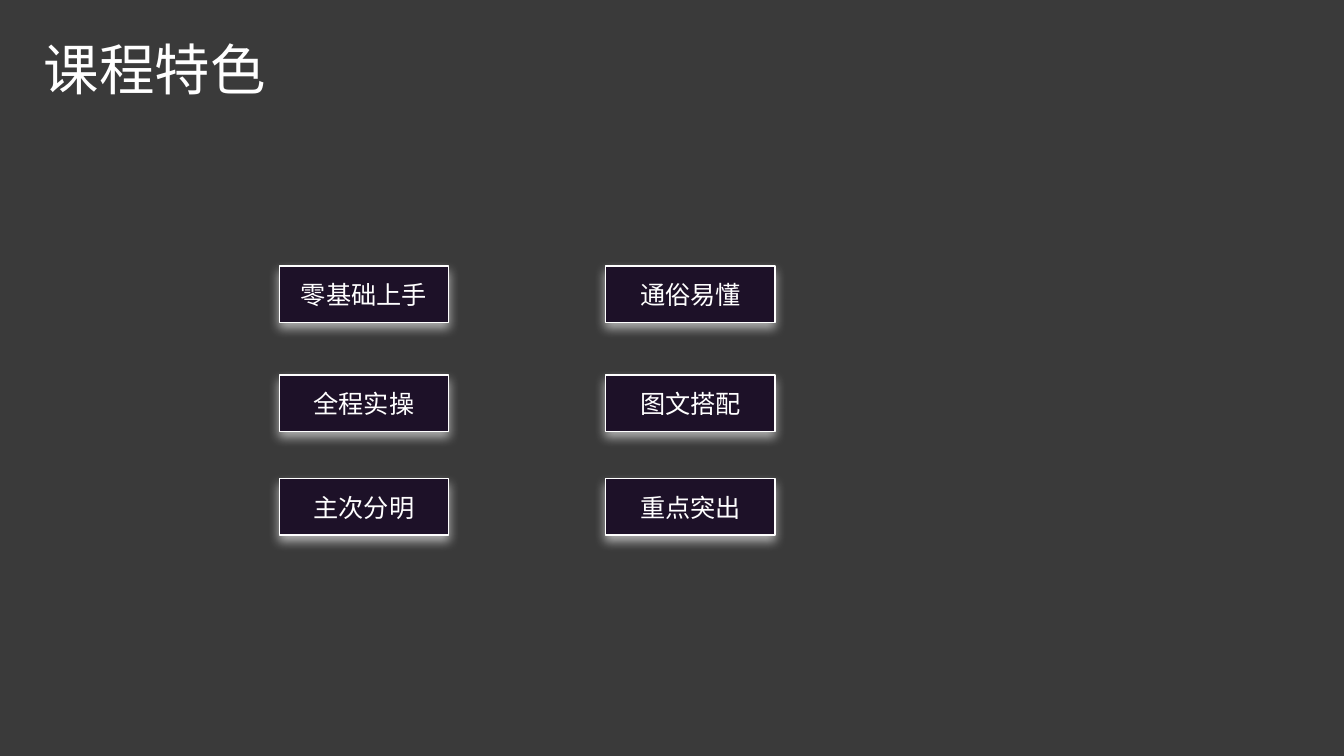
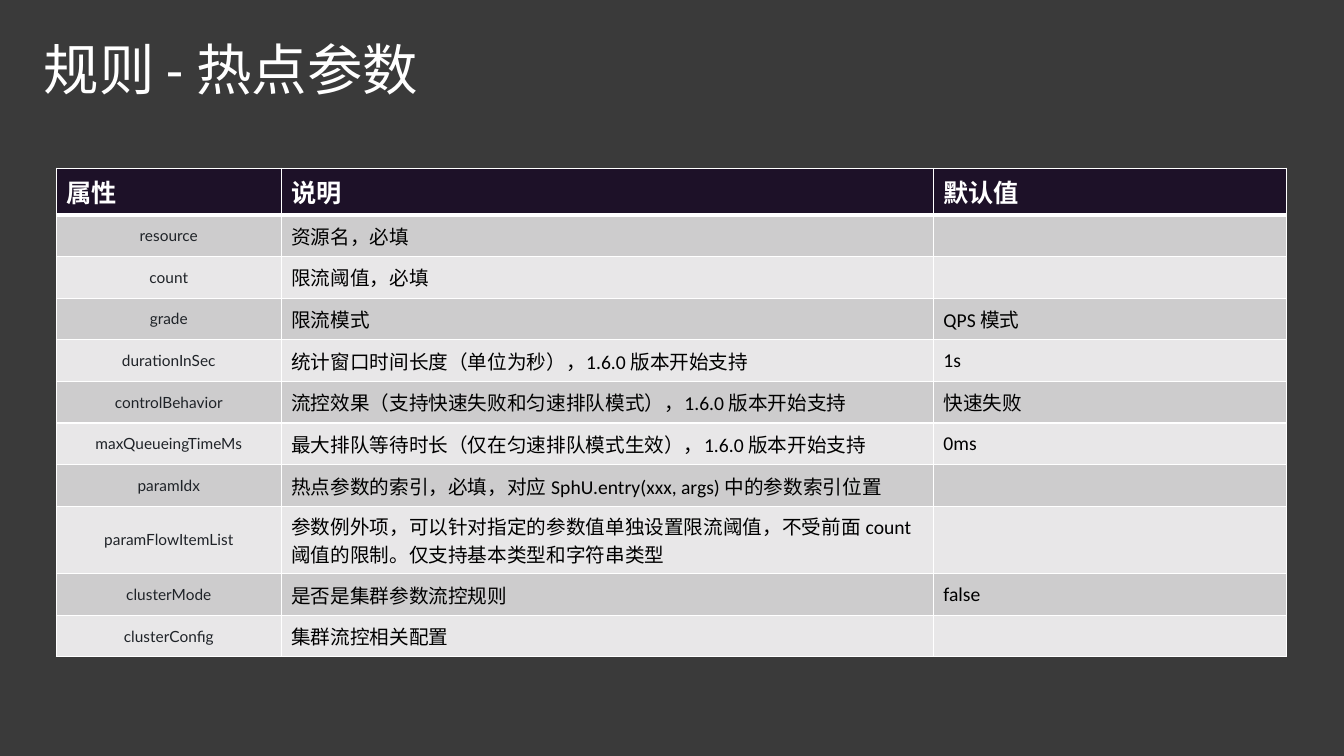
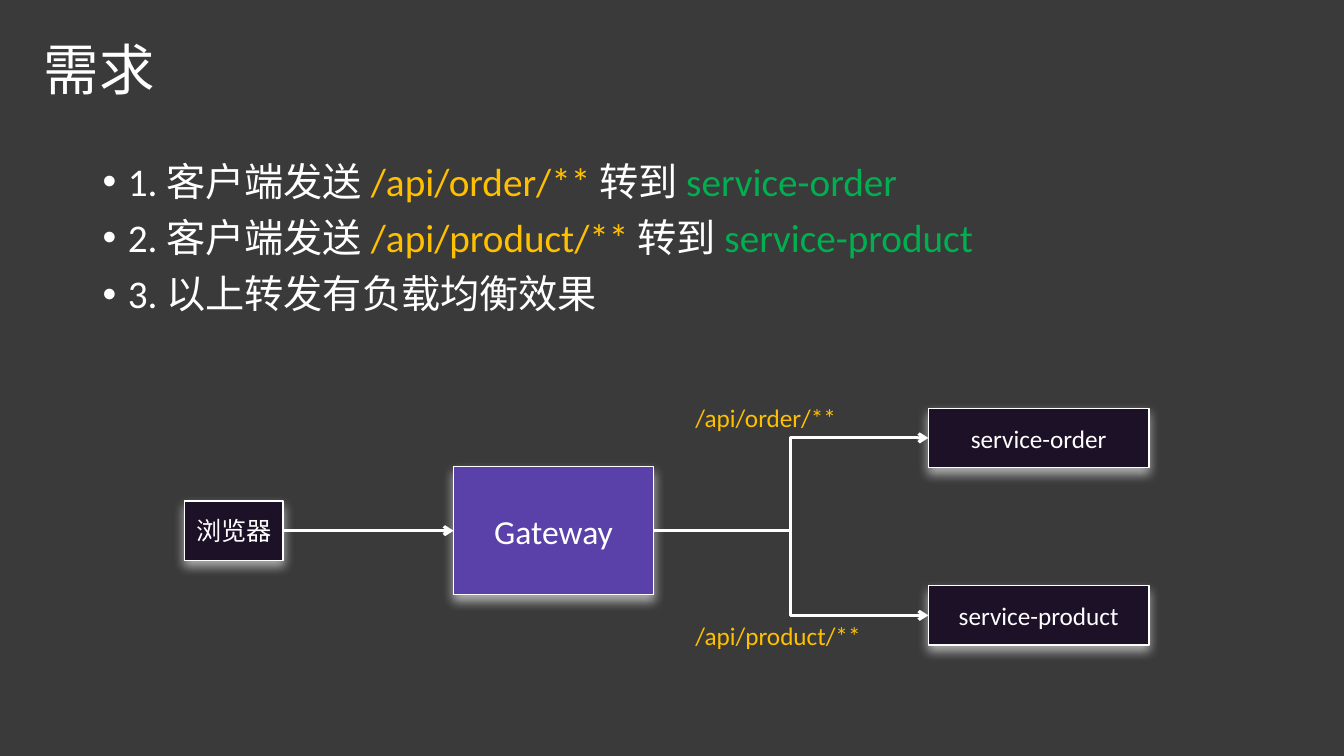
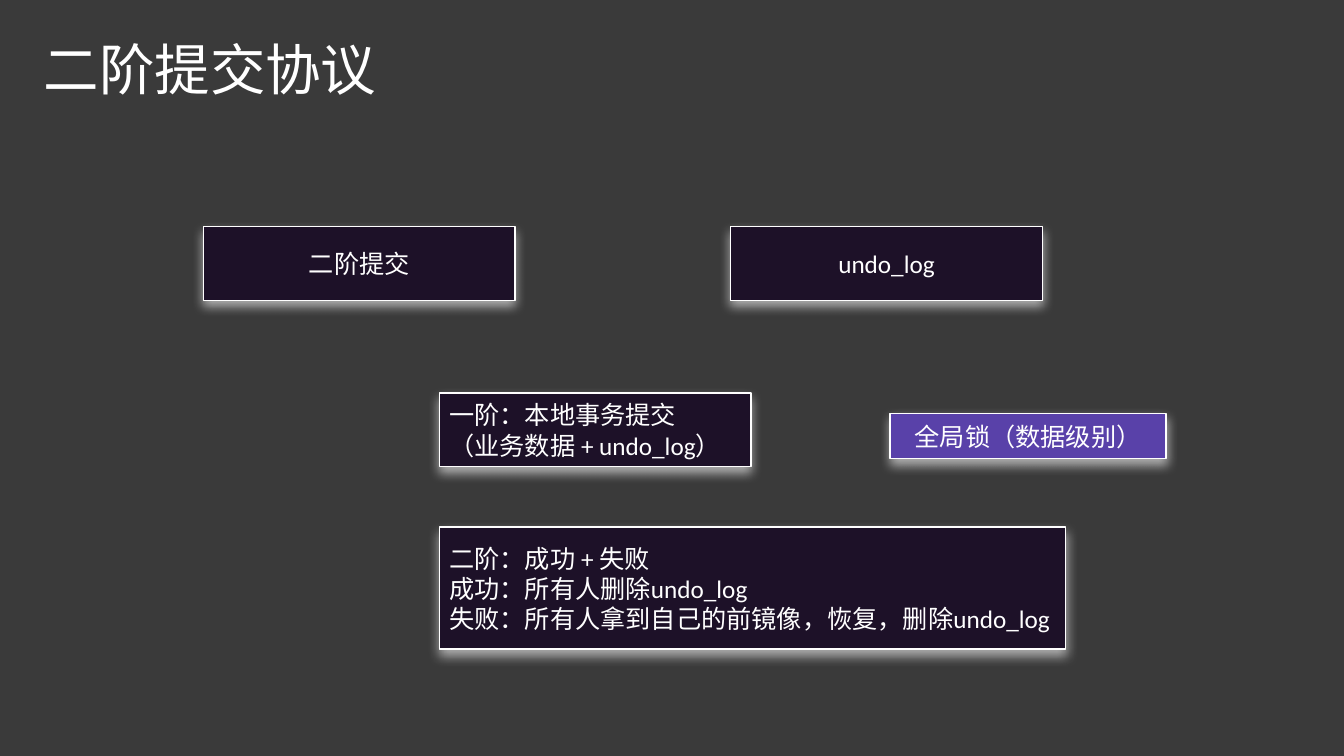
from lxml import etree
from pptx import Presentation
from pptx.dml.color import RGBColor
from pptx.enum.lang import MSO_LANGUAGE_ID
from pptx.enum.shapes import MSO_CONNECTOR, MSO_SHAPE
from pptx.enum.text import MSO_ANCHOR, MSO_AUTO_SIZE, PP_ALIGN
from pptx.oxml import parse_xml
from pptx.oxml.ns import nsdecls, qn
from pptx.util import Pt

LEFT, CENTER = PP_ALIGN.LEFT, PP_ALIGN.CENTER
MIDDLE, NO_FIT = MSO_ANCHOR.MIDDLE, MSO_AUTO_SIZE.NONE
STRAIGHT, ELBOW = MSO_CONNECTOR.STRAIGHT, MSO_CONNECTOR.ELBOW
RECTANGLE = MSO_SHAPE.RECTANGLE
CHINESE = MSO_LANGUAGE_ID.SIMPLIFIED_CHINESE
RIGHT_SIDE, LEFT_SIDE = 3, 1

GRAPHITE, WHITE, BLACK, INK = "3A3A3A", "FFFFFF", "000000", "1F2328"
NIGHT, VIOLET, AMBER, GREEN = "1D1128", "5941A9", "FFC000", "00B050"
BANDS = ["E8E7E8", "CDCCCD"]

prs = Presentation()
prs.slide_width, prs.slide_height = 12192000, 6858000
COLUMN, ROW = prs.slide_width / 80, prs.slide_height / 45


def paint(fill, color):
    fill.solid()
    fill.fore_color.rgb = RGBColor.from_string(color)


def write(frame, paragraphs, size, color=WHITE, align=LEFT, font="Calibri", **spacing):
    for number, parts in enumerate(paragraphs):
        paragraph = frame.add_paragraph() if number else frame.paragraphs[0]
        paragraph.alignment = align
        for key, value in spacing.items():
            setattr(paragraph, key, value)
        if number == 0:
            paragraph.space_before = Pt(0)
        for part in [parts] if isinstance(parts, str) else parts:
            text, part_color = (part, color) if isinstance(part, str) else part
            run = paragraph.add_run()
            run.text = text
            looks = {"name": font, "size": Pt(size), "language_id": CHINESE}
            for key, value in looks.items():
                setattr(run.font, key, value)
            paint(run.font.fill, part_color)


paint(prs.slide_master.background.fill, GRAPHITE)
title_only = prs.slide_layouts[5]
title_place = {"left": 2 * COLUMN, "top": 2.1 * ROW, "width": 48 * COLUMN, "height": 4.38 * ROW}

slides = []
for heading in ["课程特色", "规则 - 热点参数", "需求", "二阶提交协议"]:
    slide = prs.slides.add_slide(title_only)
    title = slide.shapes.title
    for key, value in title_place.items():
        setattr(title, key, int(value))
    frame_format = {"vertical_anchor": MIDDLE, "auto_size": NO_FIT, "word_wrap": True}
    for key, value in frame_format.items():
        setattr(title.text_frame, key, value)
    write(title.text_frame, [heading], 39.6, line_spacing=0.9)
    slides.append(slide)
features, rules, routing, commit = slides

boxes = []
feature_rows = [("零基础上手", "通俗易懂"), ("全程实操", "图文搭配"), ("主次分明", "重点突出")]
for top, names in zip([15.84, 22.32, 28.5], feature_rows):
    for left, name in zip([16.62, 36.06], names):
        boxes.append((features, [name], (left, top, 10.08, 3.36), NIGHT, 18, CENTER))
boxes += [
    (routing, ["浏览器"], (10.98, 29.82, 5.88, 3.54), NIGHT, 18, CENTER),
    (routing, ["Gateway"], (27, 27.78, 11.9, 7.62), VIOLET, 24, CENTER),
    (routing, ["service-order"], (55.26, 24.3, 13.14, 3.54), NIGHT, 18, CENTER),
    (routing, ["service-product"], (55.26, 34.86, 13.14, 3.54), NIGHT, 18, CENTER),
    (commit, ["二阶提交"], (12.12, 13.5, 18.54, 4.38), NIGHT, 18, CENTER),
    (commit, ["undo_log"], (43.5, 13.5, 18.54, 4.38), NIGHT, 18, CENTER),
    (commit, ["一阶：本地事务提交", "（业务数据 + undo_log）"],
     (26.16, 23.4, 18.54, 4.38), NIGHT, 18, LEFT),
    (commit, ["二阶：成功 + 失败", "成功：所有人删除undo_log",
              "失败：所有人拿到自己的前镜像，恢复，删除undo_log"],
     (26.16, 31.38, 37.26, 7.26), NIGHT, 18, LEFT),
    (commit, ["全局锁（数据级别）"], (52.98, 24.6, 16.44, 2.7), VIOLET, 18, CENTER),
]

nodes = {}
for slide, lines, (left, top, width, height), color, size, align in boxes:
    node = slide.shapes.add_shape(RECTANGLE, int(left * COLUMN), int(top * ROW),
                                  int(width * COLUMN), int(height * ROW))
    paint(node.fill, color)
    paint(node.line.fill, WHITE)
    node.line.width = Pt(1)
    node.shadow.inherit = False
    node._element.spPr.find(qn("a:effectLst")).append(parse_xml(
        f'<a:outerShdw {nsdecls("a")} blurRad="{Pt(8)}" dist="{Pt(4)}" dir="5400000" '
        f'rotWithShape="0"><a:srgbClr val="{WHITE}"><a:alpha val="60000"/>'
        '</a:srgbClr></a:outerShdw>'))
    node.text_frame.word_wrap = True
    node.text_frame.vertical_anchor = MIDDLE
    write(node.text_frame, lines, size, align=align)
    nodes[lines[0]] = node

properties = [
    ("属性", "说明", "默认值"),
    ("resource", "资源名，必填", ""),
    ("count", "限流阈值，必填", ""),
    ("grade", "限流模式", "QPS 模式"),
    ("durationInSec", "统计窗口时间长度（单位为秒），1.6.0 版本开始支持", "1s"),
    ("controlBehavior", "流控效果（支持快速失败和匀速排队模式），1.6.0 版本开始支持", "快速失败"),
    ("maxQueueingTimeMs", "最大排队等待时长（仅在匀速排队模式生效），1.6.0 版本开始支持", "0ms"),
    ("paramIdx", "热点参数的索引，必填，对应 SphU.entry(xxx, args) 中的参数索引位置", ""),
    ("paramFlowItemList",
     "参数例外项，可以针对指定的参数值单独设置限流阈值，不受前面 count 阈值的限制。仅支持基本类型和字符串类型", ""),
    ("clusterMode", "是否是集群参数流控规则", "false"),
    ("clusterConfig", "集群流控相关配置", ""),
]
column_widths = [13.38, 38.82, 21]
row_height = 2.48
table = rules.shapes.add_table(
    len(properties), len(column_widths), int(3.36 * COLUMN), int(10.02 * ROW),
    int(sum(column_widths) * COLUMN), int(len(properties) * row_height * ROW)).table
for column, width in zip(table.columns, column_widths):
    column.width = int(width * COLUMN)
for r, texts in enumerate(properties):
    table.rows[r].height = int(row_height * ROW)
    for c, text in enumerate(texts):
        cell = table.cell(r, c)
        cell.vertical_anchor = MIDDLE
        for side in "LRTB":
            thick = (r, side) in [(0, "B"), (1, "T")]
            cell._tc.get_or_add_tcPr().append(parse_xml(
                f'<a:ln{side} {nsdecls("a")} w="{Pt(3 if thick else 1)}"><a:solidFill>'
                f'<a:srgbClr val="{WHITE}"/></a:solidFill></a:ln{side}>'))
        paint(cell.fill, BANDS[r % 2] if r else NIGHT)
        if r == 0:
            write(cell.text_frame, [text], 18)
            cell.text_frame.paragraphs[0].runs[0].font.bold = True
        elif c == 0:
            write(cell.text_frame, [text], 11, INK, CENTER, "Lato")
            cell.text_frame.paragraphs[0].runs[0].font.bold = False
        elif text:
            write(cell.text_frame, [text], 14, BLACK)

requirements = routing.shapes.add_textbox(int(5.52 * COLUMN), int(9.36 * ROW),
                                          int(69 * COLUMN), int(28.56 * ROW)).text_frame
requirements.word_wrap = True
write(requirements, [
    ["1. 客户端发送 ", ("/api/order/** ", AMBER), "转到 ", ("service-order", GREEN)],
    ["2. 客户端发送 ", ("/api/product/** ", AMBER), "转到 ", ("service-product", GREEN)],
    "3. 以上转发有负载均衡效果",
], 28, line_spacing=0.9, space_before=Pt(10))
for paragraph in requirements.paragraphs:
    bullet_format = paragraph._p.get_or_add_pPr()
    bullet_format.set("marL", str(Pt(18)))
    bullet_format.set("indent", str(-Pt(18)))
    etree.SubElement(bullet_format, qn("a:buFont")).set("typeface", "Arial")
    etree.SubElement(bullet_format, qn("a:buChar")).set("char", "•")

routes = [("浏览器", "Gateway", STRAIGHT), ("Gateway", "service-order", ELBOW),
          ("Gateway", "service-product", ELBOW)]
for source, target, kind in routes:
    arrow = routing.shapes.add_connector(kind, 0, 0, 0, 0)
    arrow.begin_connect(nodes[source], RIGHT_SIDE)
    arrow.end_connect(nodes[target], LEFT_SIDE)
    paint(arrow.line.fill, WHITE)
    arrow.line.width = Pt(2.25)
    outline = arrow._element.spPr
    etree.SubElement(outline.find(qn("a:ln")), qn("a:tailEnd")).set("type", "arrow")
    etree.SubElement(outline, qn("a:effectLst"))

for route, top in [("/api/order/**", 23.64), ("/api/product/**", 36.6)]:
    label = routing.shapes.add_textbox(int(40.8 * COLUMN), int(top * ROW),
                                       int(11.94 * COLUMN), int(2.4 * ROW)).text_frame
    label.word_wrap = True
    write(label, [route], 18, AMBER)

prs.save("out.pptx")
